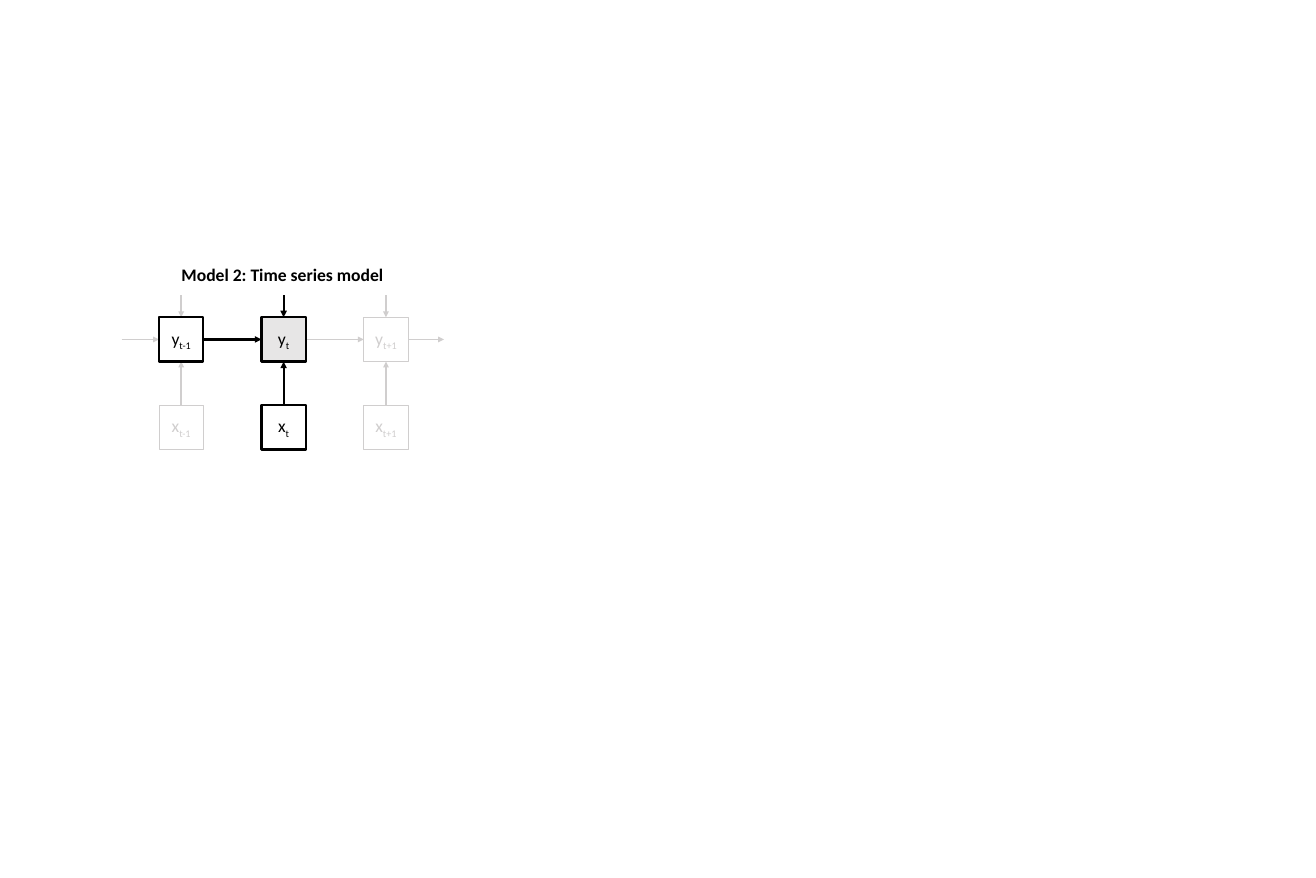
import pptx
import pptx.dml.color
import pptx.enum.shapes
import pptx.enum.text
import pptx.oxml
import pptx.oxml.ns
import pptx.util
from pptx.util import Inches

COLORS = {"active": "000000", "faded": "D0CECE", "target": "E7E6E6"}
SIDE = 0.63
COLUMN_LEFT, COLUMN_STEP = 2.26, 1.455
Y_TOP, X_TOP = 4.51, 5.76
INPUT_TOP = 4.2
OUTER_ARROW = 0.51


def color(name):
    return pptx.dml.color.RGBColor.from_string(COLORS[name])


class Diagram:
    def __init__(self, page, font="Calibri", size=18):
        self.page = page
        self.font = font
        self.size = size

    def add_span(self, para, text, tone="active", bold=False, subscript=False):
        span = para.add_run()
        span.text = text
        span.font.name = self.font
        span.font.size = pptx.util.Pt(self.size)
        span.font.bold = bold
        span.font.color.rgb = color(tone)
        if subscript:
            span.font._element.set("baseline", "-25000")

    def title(self, text, left, top, width, height):
        box = self.page.shapes.add_textbox(
            Inches(left), Inches(top), Inches(width), Inches(height))
        box.text_frame.word_wrap = False
        self.add_span(box.text_frame.paragraphs[0], text, bold=True)

    def node(self, letter, index, left, top, tone, fill=None):
        box = self.page.shapes.add_shape(
            pptx.enum.shapes.MSO_SHAPE.RECTANGLE,
            Inches(left), Inches(top), Inches(SIDE), Inches(SIDE))
        box.shadow.inherit = False
        if fill:
            box.fill.solid()
            box.fill.fore_color.rgb = color(fill)
        else:
            box.fill.background()
        box.line.color.rgb = color(tone)
        box.line.width = pptx.util.Pt(2.25 if tone == "active" else 1)
        frame = box.text_frame
        frame.margin_left = frame.margin_right = 0
        frame.vertical_anchor = pptx.enum.text.MSO_ANCHOR.MIDDLE
        para = frame.paragraphs[0]
        para.alignment = pptx.enum.text.PP_ALIGN.CENTER
        self.add_span(para, letter, tone)
        self.add_span(para, index, tone, subscript=True)

    def arrow(self, start, end, tone):
        line = self.page.shapes.add_connector(
            pptx.enum.shapes.MSO_CONNECTOR.STRAIGHT,
            *(Inches(value) for value in (*start, *end)))
        line.line.color.rgb = color(tone)
        line.line.width = pptx.util.Pt(2.25 if tone == "active" else 1.5)
        head = pptx.oxml.parse_xml(
            f'<a:tailEnd {pptx.oxml.ns.nsdecls("a")} type="triangle"/>')
        line.line._get_or_add_ln().append(head)
        effects = pptx.oxml.parse_xml(
            f'<a:effectLst {pptx.oxml.ns.nsdecls("a")}/>')
        line._element.spPr.append(effects)


def main():
    deck = pptx.Presentation()
    deck.slide_width, deck.slide_height = Inches(18.7), Inches(12.48)
    diagram = Diagram(deck.slides.add_slide(deck.slide_layouts[6]))
    diagram.title("Model 2: Time series model", 2.48, 3.7, 3.09, 0.4)

    lefts = [COLUMN_LEFT + step * COLUMN_STEP for step in range(3)]
    middle = Y_TOP + SIDE / 2
    starts = [lefts[0] - OUTER_ARROW - 0.02] + [left + SIDE for left in lefts]
    ends = lefts + [lefts[-1] + SIDE + OUTER_ARROW]
    flow_tones = ("faded", "active", "faded", "faded")
    for start, end, tone in zip(starts, ends, flow_tones):
        diagram.arrow((start, middle), (end, middle), tone)

    # time index, tone of y, tone of x and its arrows, fill of y
    steps = (
        ("t-1", "active", "faded", None),
        ("t", "active", "active", "target"),
        ("t+1", "faded", "faded", None),
    )
    for left, (index, y_tone, x_tone, fill) in zip(lefts, steps):
        center = left + SIDE / 2
        diagram.arrow((center, INPUT_TOP), (center, Y_TOP), x_tone)
        diagram.arrow((center, X_TOP), (center, Y_TOP + SIDE), x_tone)
        diagram.node("y", index, left, Y_TOP, y_tone, fill)
        diagram.node("x", index, left, X_TOP, x_tone)
    deck.save("out.pptx")


if __name__ == "__main__":
    main()
